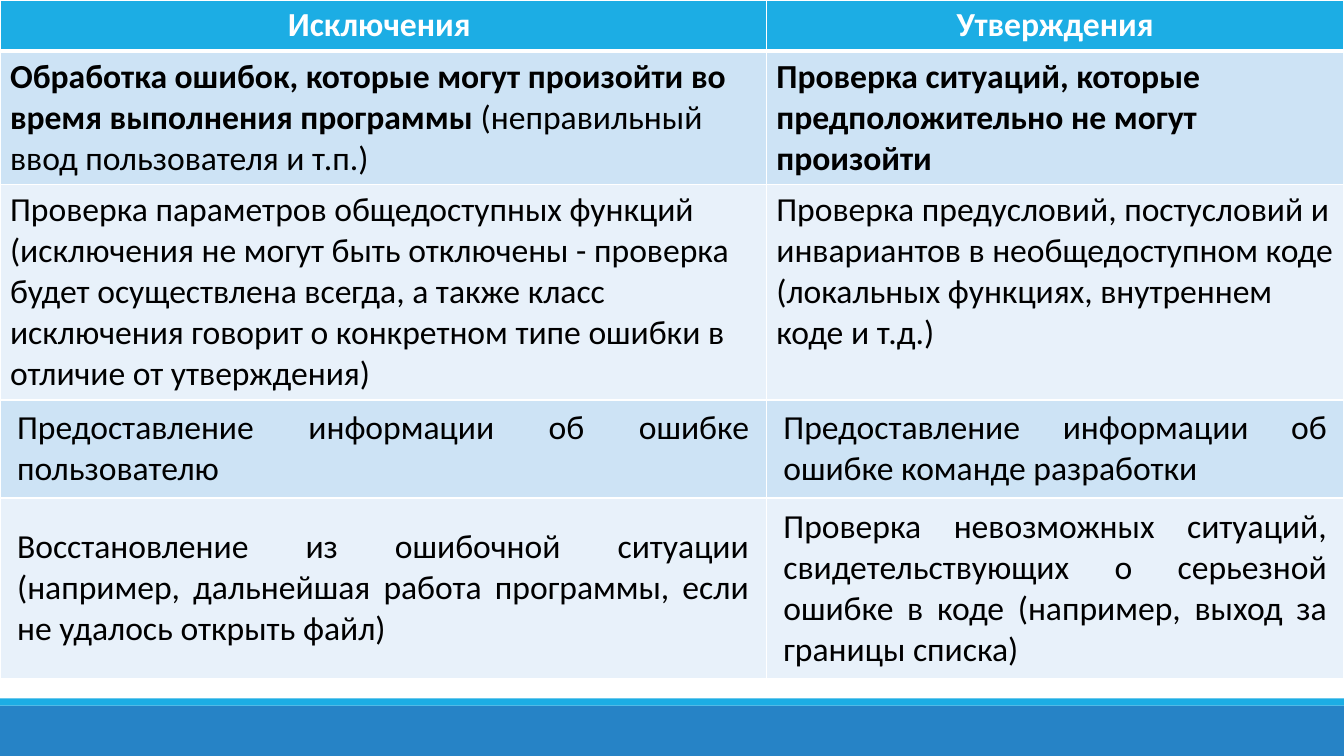
from lxml import etree
from pptx import Presentation
from pptx.dml.color import RGBColor
from pptx.enum.shapes import MSO_SHAPE
from pptx.enum.text import MSO_ANCHOR, PP_ALIGN
from pptx.oxml.ns import qn
from pptx.util import Inches, Pt

RECTANGLE = MSO_SHAPE.RECTANGLE
TOP, MIDDLE = MSO_ANCHOR.TOP, MSO_ANCHOR.MIDDLE
LEFT, CENTER, JUSTIFY = PP_ALIGN.LEFT, PP_ALIGN.CENTER, PP_ALIGN.JUSTIFY

WHITE = RGBColor(0xFF, 0xFF, 0xFF)
BLACK = RGBColor(0x00, 0x00, 0x00)
CYAN = RGBColor(0x1C, 0xAD, 0xE4)
BLUE = RGBColor(0x26, 0x83, 0xC6)
BAND_DARK = RGBColor(0xCD, 0xE3, 0xF5)
BAND_LIGHT = RGBColor(0xE8, 0xF1, 0xFA)

WIDTH, HEIGHT = 13.33, 7.5
COLUMN_WIDTHS = [7.6, 5.73]
ROW_HEIGHTS = [0.5, 1.32, 2.14, 0.97, 1.79]

HEADER = dict(align=CENTER, color=WHITE, bold=True)
PLAIN = dict(align=LEFT)
PADDED = dict(align=JUSTIFY, anchor=MIDDLE, margins=(0.17, 0.08))

ROWS = [
    (HEADER, CYAN, [[("Исключения ", True)], [("Утверждения", True)]]),
    (PLAIN, BAND_DARK, [
        [("Обработка ошибок, которые могут произойти во время выполнения программы", True),
         (" (неправильный ввод пользователя и т.п.)", False)],
        [("Проверка ситуаций, которые предположительно не могут произойти", True)],
    ]),
    (PLAIN, BAND_LIGHT, [
        "Проверка параметров общедоступных функций (исключения не могут быть отключены - "
        "проверка будет осуществлена всегда, а также класс исключения говорит о конкретном "
        "типе ошибки в отличие от утверждения)",
        "Проверка предусловий, постусловий и инвариантов в необщедоступном коде "
        "(локальных функциях, внутреннем коде и т.д.)",
    ]),
    (PADDED, BAND_DARK, [
        "Предоставление информации об ошибке пользователю",
        "Предоставление информации об ошибке команде разработки",
    ]),
    (PADDED, BAND_LIGHT, [
        "Восстановление из ошибочной ситуации (например, дальнейшая работа программы, "
        "если не удалось открыть файл)",
        "Проверка невозможных ситуаций, свидетельствующих о серьезной ошибке в коде "
        "(например, выход за границы списка)",
    ]),
]


def write_text(cell, text, align=LEFT, color=BLACK, bold=False, anchor=TOP,
               margins=(0.1, 0.05), font="Calibri", size=24):
    cell.vertical_anchor = anchor
    cell.margin_left = cell.margin_right = Inches(margins[0])
    cell.margin_top = cell.margin_bottom = Inches(margins[1])
    para = cell.text_frame.paragraphs[0]
    para.alignment = align
    spans = [(text, bold)] if isinstance(text, str) else text
    for words, is_bold in spans:
        span = para.add_run()
        span.text = words
        span.font.name = font
        span.font.size = Pt(size)
        span.font.bold = is_bold
        span.font.color.rgb = color


class SlideBuilder:
    def __init__(self, page, border_color=WHITE):
        self.page = page
        self.border_color = border_color

    def bar(self, top, height, color):
        box = self.page.shapes.add_shape(
            RECTANGLE, 0, Inches(top), Inches(WIDTH), Inches(height))
        box.shadow.inherit = False
        box.fill.solid()
        box.fill.fore_color.rgb = color
        box.line.fill.background()

    def borders(self, cell, bottom, top):
        properties = cell._tc.get_or_add_tcPr()
        for side, points in (("L", 1), ("R", 1), ("T", top), ("B", bottom)):
            line = etree.SubElement(properties, qn(f"a:ln{side}"), w=str(Pt(points)))
            fill = etree.SubElement(line, qn("a:solidFill"))
            etree.SubElement(fill, qn("a:srgbClr"), val=str(self.border_color))

    def table(self, rows, widths, heights):
        table = self.page.shapes.add_table(
            len(rows), len(widths), 0, 0,
            Inches(sum(widths)), Inches(sum(heights))).table
        table.horz_banding = False
        for column, width in zip(table.columns, widths):
            column.width = Inches(width)
        for index, (style, color, texts) in enumerate(rows):
            table.rows[index].height = Inches(heights[index])
            for cell, text in zip(table.rows[index].cells, texts):
                write_text(cell, text, **style)
                self.borders(cell, bottom=3 if index == 0 else 1,
                             top=3 if index == 1 else 1)
                cell.fill.solid()
                cell.fill.fore_color.rgb = color


def main():
    deck = Presentation()
    deck.slide_width, deck.slide_height = Inches(WIDTH), Inches(HEIGHT)
    builder = SlideBuilder(deck.slides.add_slide(deck.slide_layouts[6]))
    builder.bar(7, 0.5, BLUE)
    builder.bar(6.93, 0.07, CYAN)
    builder.table(ROWS, COLUMN_WIDTHS, ROW_HEIGHTS)
    deck.save("out.pptx")


if __name__ == "__main__":
    main()
